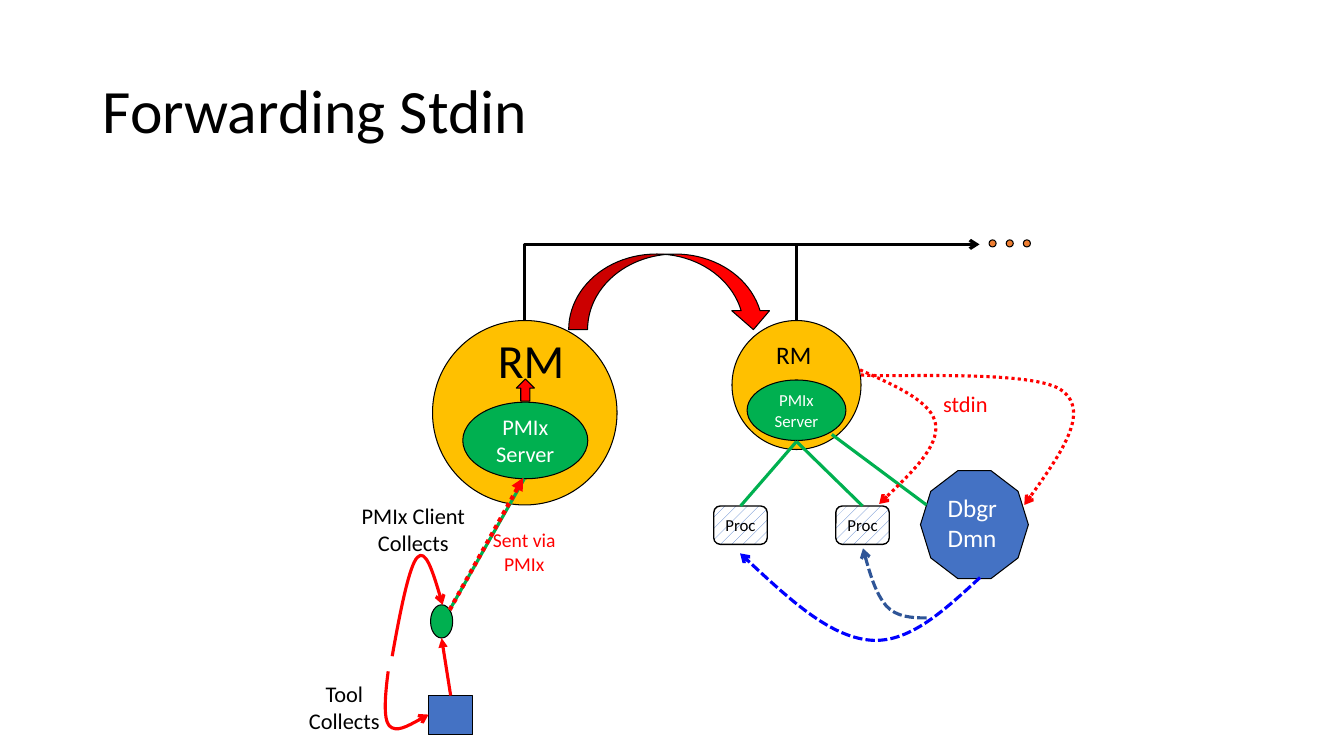
from lxml import etree
from pptx import Presentation
from pptx.dml.color import RGBColor
from pptx.enum.dml import MSO_LINE, MSO_PATTERN
from pptx.enum.shapes import MSO_CONNECTOR, MSO_SHAPE
from pptx.enum.text import MSO_ANCHOR, MSO_AUTO_SIZE, PP_ALIGN
from pptx.oxml.ns import qn
from pptx.util import Inches, Pt

OVAL, RECT, ROUND = MSO_SHAPE.OVAL, MSO_SHAPE.RECTANGLE, MSO_SHAPE.ROUNDED_RECTANGLE
DECAGON = MSO_SHAPE.DECAGON
UP, CURVED = MSO_SHAPE.UP_ARROW, MSO_SHAPE.CURVED_DOWN_ARROW
LINE, ELBOW = MSO_CONNECTOR.STRAIGHT, MSO_CONNECTOR.ELBOW
DOT, DASH = MSO_LINE.ROUND_DOT, MSO_LINE.SQUARE_DOT
LEFT, MID = PP_ALIGN.LEFT, PP_ALIGN.CENTER


class Theme:
    font = "Calibri"
    black = RGBColor.from_string("000000")
    white = RGBColor.from_string("FFFFFF")
    gold = RGBColor.from_string("FFC000")
    green = RGBColor.from_string("00B050")
    red = RGBColor.from_string("FF0000")
    blue = RGBColor.from_string("4472C4")
    navy = RGBColor.from_string("2F5597")
    pure = RGBColor.from_string("0000FF")
    orange = RGBColor.from_string("ED7D31")
    title, huge, large, base, note, small = 44, 34, 18, 16, 14, 12
    thin, edge, bold, thick = 0.75, 1, 2.25, 3


def stroke(item, color, width, dash=None, head=None, tail=None):
    item.line.color.rgb = color
    item.line.width = Pt(width)
    if dash:
        item.line.dash_style = dash
    props = item.element.spPr
    for tag, kind in (("a:headEnd", head), ("a:tailEnd", tail)):
        if kind:
            etree.SubElement(props.find(qn("a:ln")), qn(tag)).set("type", kind)
    etree.SubElement(props, qn("a:effectLst"))


def write(frame, text, size, color, align):
    frame.text = text
    for para in frame.paragraphs:
        para.alignment = align
        for run in para.runs:
            run.font.name = Theme.font
            run.font.size = Pt(size)
            run.font.color.rgb = color


deck = Presentation()
deck.slide_width, deck.slide_height = Inches(13.33), Inches(7.5)
slide = deck.slides.add_slide(deck.slide_layouts[5])
shapes = slide.shapes

title = shapes.title
title.left, title.top = Inches(0.92), Inches(0.4)
title.width, title.height = Inches(11.5), Inches(1.45)
write(title.text_frame, "Forwarding Stdin", Theme.title, Theme.black, LEFT)
title.text_frame.vertical_anchor = MSO_ANCHOR.MIDDLE
title.text_frame.paragraphs[0].line_spacing = 0.9

nodes = [
    (OVAL, 4.29, 3.18, 1.83, 1.83, Theme.gold, None, None),
    (OVAL, 4.59, 3.99, 1.24, 0.76, Theme.green, "PMIx\nServer", Theme.base),
    (OVAL, 4.27, 6, 0.22, 0.33, Theme.green, None, None),
    (OVAL, 7.26, 3.18, 1.28, 1.28, Theme.gold, None, None),
    (OVAL, 7.41, 3.77, 0.98, 0.6, Theme.green, "PMIx\nServer", Theme.small),
    (DECAGON, 9.13, 4.67, 1.07, 1.07, Theme.blue, None, None),
    (UP, 5.12, 3.76, 0.18, 0.22, Theme.red, None, None),
    (CURVED, 5.64, 2.52, 2.02, 0.75, Theme.red, None, None),
    (RECT, 4.25, 6.9, 0.44, 0.39, Theme.blue, None, None),
]
nodes += [(OVAL, 9.81 + 0.17 * i, 2.38, 0.07, 0.07, Theme.orange, None, None)
          for i in range(3)]
for kind, x, y, w, h, color, text, size in nodes:
    node = shapes.add_shape(kind, Inches(x), Inches(y), Inches(w), Inches(h))
    node.fill.solid()
    node.fill.fore_color.rgb = color
    stroke(node, Theme.black, Theme.thin)
    if text:
        write(node.text_frame, text, size, Theme.white, MID)
        node.text_frame.vertical_anchor = MSO_ANCHOR.MIDDLE
    if kind == RECT:
        tool = node

procs = []
for x in (7.08, 8.29):
    proc = shapes.add_shape(ROUND, Inches(x), Inches(5.02), Inches(0.53), Inches(0.38))
    proc.fill.patterned()
    proc.fill.pattern = MSO_PATTERN.PERCENT_10
    proc.fill.fore_color.rgb = Theme.blue
    proc.fill.back_color.rgb = Theme.white
    stroke(proc, Theme.black, Theme.edge)
    write(proc.text_frame, "Proc", Theme.small, Theme.black, MID)
    proc.text_frame.vertical_anchor = MSO_ANCHOR.MIDDLE
    proc.text_frame.margin_left = proc.text_frame.margin_right = 0
    procs.append(proc)

links = [
    (4.46, 6.05, 5.2, 4.75, Theme.green, Theme.bold, None, None, None, None),
    (7.9, 4.38, 7.34, 5.02, Theme.green, Theme.bold, None, None, None, procs[0]),
    (7.9, 4.38, 8.56, 5.02, Theme.green, Theme.bold, None, None, None, procs[1]),
    (8.25, 4.31, 9.19, 5.01, Theme.green, Theme.bold, None, None, None, None),
    (7.9, 2.42, 7.9, 3.18, Theme.black, Theme.bold, None, None, None, None),
    (4.46, 6.05, 5.19, 4.74, Theme.red, Theme.thick, DOT, "triangle", None, None),
    (4.47, 6.9, 4.38, 6.33, Theme.red, Theme.bold, None, "triangle", tool, None),
]
for x, y, u, v, color, width, dash, tail, start, end in links:
    link = shapes.add_connector(LINE, Inches(x), Inches(y), Inches(u), Inches(v))
    stroke(link, color, width, dash, tail=tail)
    if start:
        link.begin_connect(start, 0)
    if end:
        link.end_connect(end, 0)

bus = shapes.add_connector(ELBOW, Inches(7.84), Inches(5.06), Inches(7.08), Inches(0.55))
bus.element.spPr.find(qn("a:xfrm")).set("rot", "5400000")
bus.element.spPr.find(qn("a:prstGeom")).set("prst", "bentConnector2")
stroke(bus, Theme.black, Theme.bold, tail="arrow")

curves = [
    ([(8.53, 3.67), (8.89, 3.83), (9.25, 3.99), (9.28, 4.21),
      (9.31, 4.43), (9.01, 4.72), (8.72, 5)], Theme.red, DOT),
    ([(3.89, 6.51), (3.97, 6.06), (4.06, 5.61), (4.14, 5.53),
      (4.22, 5.44), (4.31, 5.72), (4.39, 6)], Theme.red, None),
    ([(3.85, 6.66), (3.82, 6.89), (3.8, 7.13), (3.86, 7.2),
      (3.93, 7.27), (4.09, 7.18), (4.25, 7.09)], Theme.red, None),
    ([(9.19, 6.13), (9.04, 6.13), (8.89, 6.12), (8.79, 6.01),
      (8.69, 5.89), (8.62, 5.67), (8.56, 5.44)], Theme.navy, DASH),
    ([(9.72, 5.73), (9.36, 6.06), (9.01, 6.39), (8.62, 6.35),
      (8.22, 6.31), (7.78, 5.9), (7.34, 5.49)], Theme.pure, DASH),
    ([(8.54, 3.72), (8.83, 3.75), (10.28, 3.66), (10.54, 3.88),
      (10.81, 4.09), (10.49, 4.55), (10.16, 5.01)], Theme.red, DOT),
]
for points, color, dash in curves:
    spots = [(Inches(x), Inches(y)) for x, y in points]
    pen = shapes.build_freeform(*spots[0])
    pen.add_line_segments(spots[1:], close=False)
    curve = pen.convert_to_shape()
    curve.fill.background()
    stroke(curve, color, Theme.bold, dash, tail="arrow")
    route = curve.element.find(".//" + qn("a:path"))
    steps = route.findall(qn("a:lnTo"))
    for i in range(0, len(steps), 3):
        bend = etree.SubElement(route, qn("a:cubicBezTo"))
        for step in steps[i:i + 3]:
            bend.append(step[0])
            route.remove(step)

labels = [
    (4.84, 3.23, 0.87, 0.67, "RM", Theme.huge, Theme.black, LEFT, False),
    (7.6, 3.32, 0.55, 0.4, "RM", Theme.large, Theme.black, LEFT, False),
    (9.25, 3.82, 0.65, 0.37, "stdin", Theme.base, Theme.red, MID, False),
    (4.77, 5.19, 0.86, 0.57, "Sent via PMIx", Theme.note, Theme.red, MID, True),
    (3.48, 4.93, 1.24, 0.64, "PMIx Client\nCollects", Theme.base, Theme.black, MID, False),
    (2.96, 6.7, 0.91, 0.64, "Tool\nCollects", Theme.base, Theme.black, MID, False),
    (9.3, 4.83, 0.7, 0.71, "Dbgr\nDmn", Theme.large, Theme.white, LEFT, False),
]
for x, y, w, h, text, size, color, align, wrap in labels:
    label = shapes.add_textbox(Inches(x), Inches(y), Inches(w), Inches(h))
    write(label.text_frame, text, size, color, align)
    label.text_frame.word_wrap = wrap
    label.text_frame.auto_size = MSO_AUTO_SIZE.SHAPE_TO_FIT_TEXT

deck.save("out.pptx")
